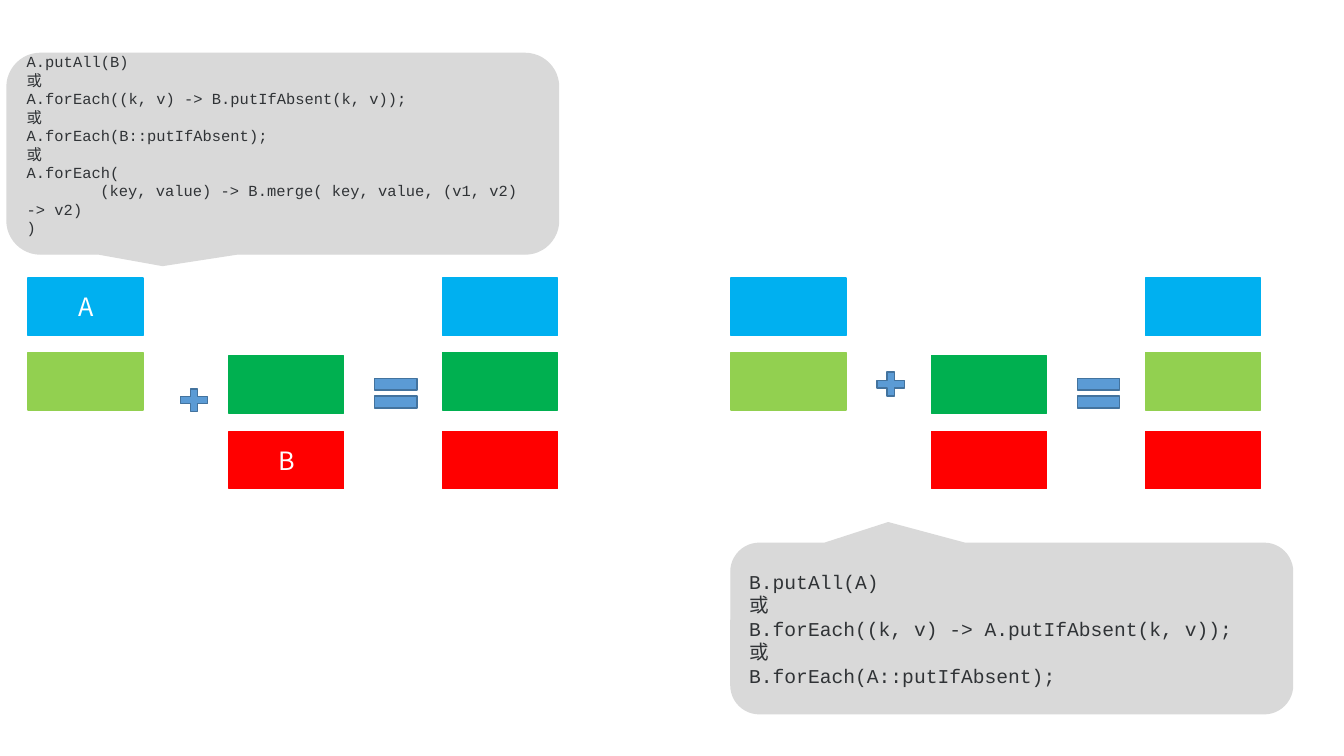
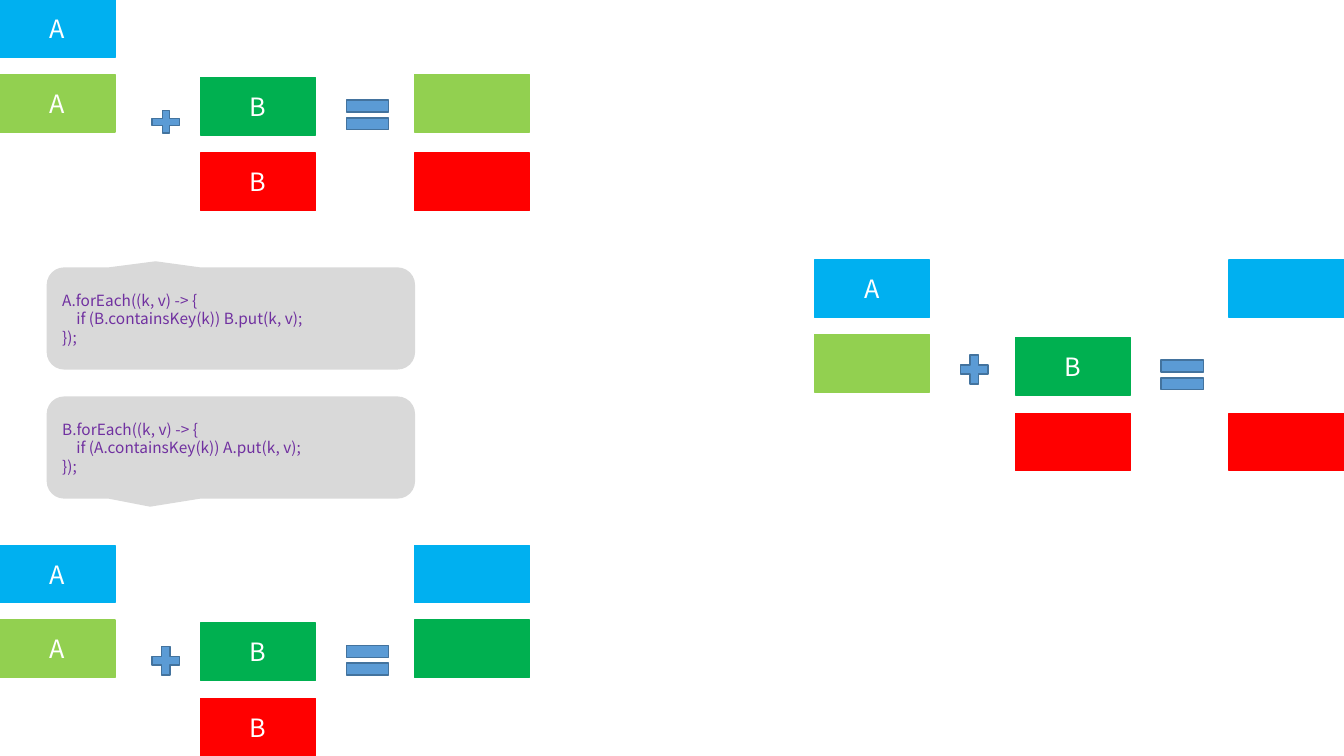
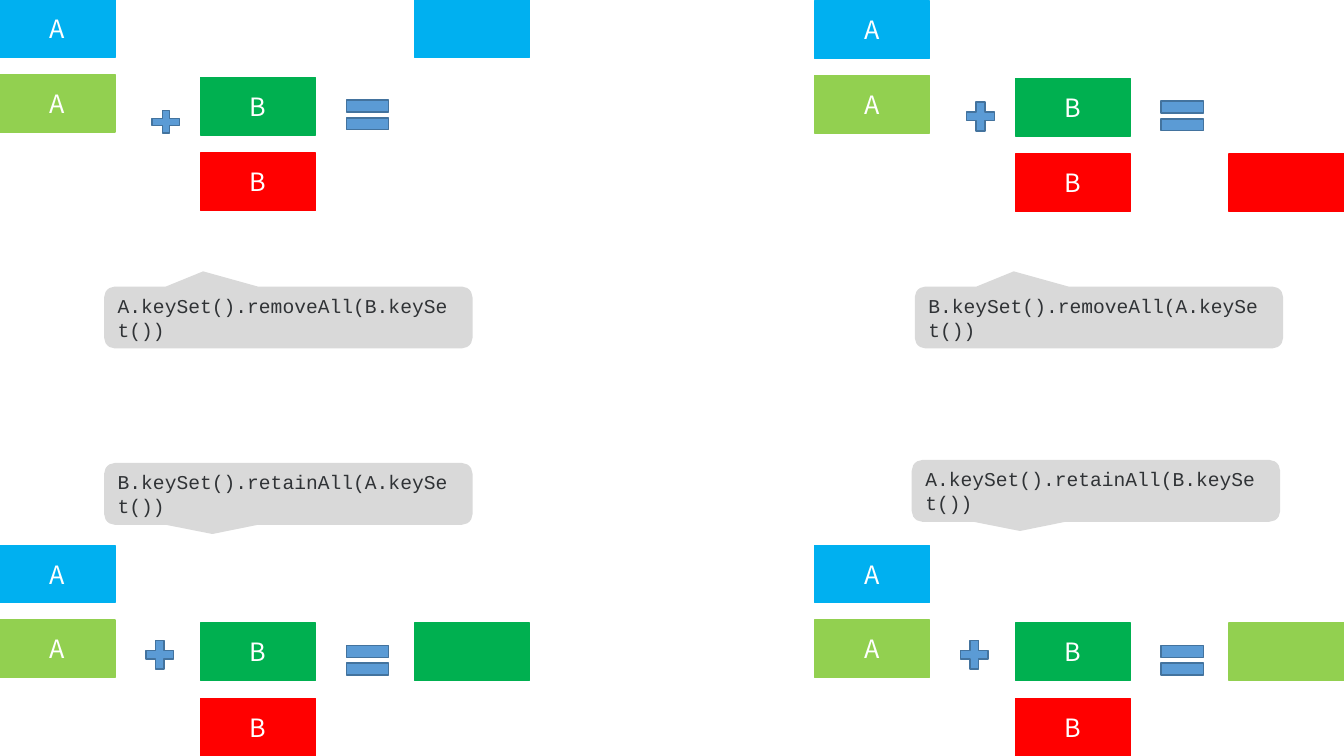
from dataclasses import dataclass

from pptx import Presentation
from pptx.dml.color import RGBColor
from pptx.enum import shapes, text
from pptx.util import Inches, Pt


@dataclass(frozen=True)
class Theme:
    sky: str = "00B0F0"
    lime: str = "92D050"
    green: str = "00B050"
    red: str = "FF0000"
    sign_fill: str = "5B9BD5"
    sign_line: str = "43739E"
    bubble: str = "D9D9D9"
    label: str = "FFFFFF"
    code: str = "303336"
    purple: str = "7030A0"
    sans: str = "Noto Sans CJK SC"
    mono: str = "Courier New"
    label_size: int = 18
    code_size: int = 14
    small_code_size: int = 11


THEME = Theme()
BLOCK_SIZE = (1.14, 0.57)
RESULT_LEFT = 4.11
TOP, MIDDLE, MIDDLE_LOW, BOTTOM = 0, 0.74, 0.77, 1.52

# Colour and offset of the four operand blocks: two of map A, two of map B
OPERANDS = [
    (THEME.sky, 0, TOP),
    (THEME.lime, 0, MIDDLE),
    (THEME.green, 1.99, MIDDLE_LOW),
    (THEME.red, 1.99, BOTTOM),
]
ALL_LABELS = ("A", "A", "B", "B")

# Offset and height of the plus sign
PLUS_LOW = (1.46, 1.06, 0.3)
PLUS_SHORT = (1.4, 0.89, 0.32)
PLUS_LEFT = (1.4, 0.89, 0.39)
PLUS_RIGHT = (1.46, 0.95, 0.39)

# Equations: origin, operand labels, plus sign, results as (colour, row)
# Callouts: box, pointer, lines (an indented line is a pair), font, size, colour, bottom inset
BIG_CODE = (THEME.mono, THEME.code_size, THEME.code, 0.05)
LONG_CODE = (THEME.mono, THEME.small_code_size, THEME.code, 0.23)
PURPLE_CODE = (THEME.sans, THEME.small_code_size, THEME.purple, 0.05)
POINT_UP, POINT_DOWN = (-0.232, -0.751), (-0.207, 0.652)

SLIDES = [
    {
        "equations": [
            ((0.28, 2.76), ("A", "", "", "B"), PLUS_LOW,
             [(THEME.sky, TOP), (THEME.green, MIDDLE), (THEME.red, BOTTOM)]),
            ((7.25, 2.76), ("", "", "", ""), PLUS_SHORT,
             [(THEME.sky, TOP), (THEME.lime, MIDDLE), (THEME.red, BOTTOM)]),
        ],
        "callouts": [
            ((0.07, 0.53, 5.47, 1.99), (-0.218, 0.557),
             ["A.putAll(B)", "或", "A.forEach((k, v) -> B.putIfAbsent(k, v));", "或",
              "A.forEach(B::putIfAbsent);", "或", "A.forEach(",
              (0.73, "(key, value) -> B.merge( key, value, (v1, v2) -> v2)"), ")"],
             LONG_CODE),
            ((7.25, 5.39, 5.57, 1.69), (-0.22, -0.621),
             ["B.putAll(A)", "或", "B.forEach((k, v) -> A.putIfAbsent(k, v));", "或",
              "B.forEach(A::putIfAbsent);"],
             BIG_CODE),
        ],
    },
    {
        "equations": [
            ((8.08, 2.58), ("A", "", "B", ""), PLUS_LEFT,
             [(THEME.sky, TOP), (THEME.red, BOTTOM)]),
            ((0, 5.41), ALL_LABELS, PLUS_RIGHT,
             [(THEME.sky, TOP), (THEME.green, MIDDLE)]),
            ((0, 0), ALL_LABELS, PLUS_LOW,
             [(THEME.lime, MIDDLE), (THEME.red, BOTTOM)]),
        ],
        "callouts": [
            ((0.47, 2.66, 3.64, 1), (-0.205, -0.561),
             ["A.forEach((k, v) -> {", (0.14, "if (B.containsKey(k)) B.put(k, v);"), "});"],
             PURPLE_CODE),
            ((0.47, 3.94, 3.64, 1), (-0.22, 0.58),
             ["B.forEach((k, v) -> {", (0.14, "if (A.containsKey(k)) A.put(k, v);"), "});"],
             PURPLE_CODE),
        ],
    },
    {
        "equations": [
            ((0, 0), ALL_LABELS, PLUS_LOW, [(THEME.sky, TOP)]),
            ((0, 5.41), ALL_LABELS, PLUS_LEFT, [(THEME.green, MIDDLE_LOW)]),
            ((8.08, 0.01), ALL_LABELS, PLUS_RIGHT, [(THEME.red, BOTTOM)]),
            ((8.08, 5.41), ALL_LABELS, PLUS_LEFT, [(THEME.lime, MIDDLE_LOW)]),
        ],
        "callouts": [
            ((9.05, 4.57, 3.64, 0.6), POINT_DOWN, ["A.keySet().retainAll(B.keySet())"], BIG_CODE),
            ((1.04, 4.6, 3.64, 0.6), POINT_DOWN, ["B.keySet().retainAll(A.keySet())"], BIG_CODE),
            ((1.04, 2.85, 3.64, 0.6), POINT_UP, ["A.keySet().removeAll(B.keySet())"], BIG_CODE),
            ((9.08, 2.85, 3.64, 0.6), POINT_UP, ["B.keySet().removeAll(A.keySet())"], BIG_CODE),
        ],
    },
]


def add_shape(slide, kind, box, fill, line=None):
    shape = slide.shapes.add_shape(kind, *(Inches(length) for length in box))
    shape.shadow.inherit = False
    shape.fill.solid()
    shape.fill.fore_color.rgb = RGBColor.from_string(fill)
    shape.line.color.rgb = RGBColor.from_string(line or fill)
    shape.line.width = Pt(1)
    return shape


def set_font(paragraph, name, size, color):
    paragraph.font.name = name
    paragraph.font.size = Pt(size)
    paragraph.font.color.rgb = RGBColor.from_string(color)


def add_block(slide, left, top, color, label=""):
    shape = add_shape(slide, shapes.MSO_SHAPE.RECTANGLE, (left, top, *BLOCK_SIZE), color)
    if label:
        paragraph = shape.text_frame.paragraphs[0]
        paragraph.text = label
        paragraph.alignment = text.PP_ALIGN.CENTER
        set_font(paragraph, THEME.sans, THEME.label_size, THEME.label)


def add_equation(slide, origin, labels, plus, results):
    """Draw map A + map B = result, with the top left corner at origin."""
    left, top = origin
    for (color, dx, dy), label in zip(OPERANDS, labels):
        add_block(slide, left + dx, top + dy, color, label)
    for color, dy in results:
        add_block(slide, left + RESULT_LEFT, top + dy, color)
    plus_dx, plus_dy, plus_height = plus
    signs = [
        (shapes.MSO_SHAPE.MATH_PLUS, (left + plus_dx, top + plus_dy, 0.37, plus_height)),
        (shapes.MSO_SHAPE.MATH_EQUAL, (left + 3.36, top + 0.89, 0.57, 0.5)),
    ]
    for kind, box in signs:
        add_shape(slide, kind, box, THEME.sign_fill, THEME.sign_line)


def add_callout(slide, box, pointer, lines, style):
    shape = add_shape(slide, shapes.MSO_SHAPE.ROUNDED_RECTANGULAR_CALLOUT, box, THEME.bubble)
    shape.adjustments[0], shape.adjustments[1] = pointer
    *font, bottom_inset = style
    frame = shape.text_frame
    frame.word_wrap = True
    frame.margin_bottom = Inches(bottom_inset)
    for index, line in enumerate(lines):
        indent, words = line if isinstance(line, tuple) else (0, line)
        paragraph = frame.add_paragraph() if index else frame.paragraphs[0]
        paragraph.text = words
        paragraph.alignment = text.PP_ALIGN.LEFT
        set_font(paragraph, *font)
        if indent:
            paragraph._p.get_or_add_pPr().set("indent", str(Inches(indent)))


def main():
    presentation = Presentation()
    presentation.slide_width = Inches(13.33)
    presentation.slide_height = Inches(7.5)
    blank_layout = presentation.slide_layouts[6]
    for content in SLIDES:
        slide = presentation.slides.add_slide(blank_layout)
        for equation in content["equations"]:
            add_equation(slide, *equation)
        for callout in content["callouts"]:
            add_callout(slide, *callout)
    presentation.save("out.pptx")


if __name__ == "__main__":
    main()
